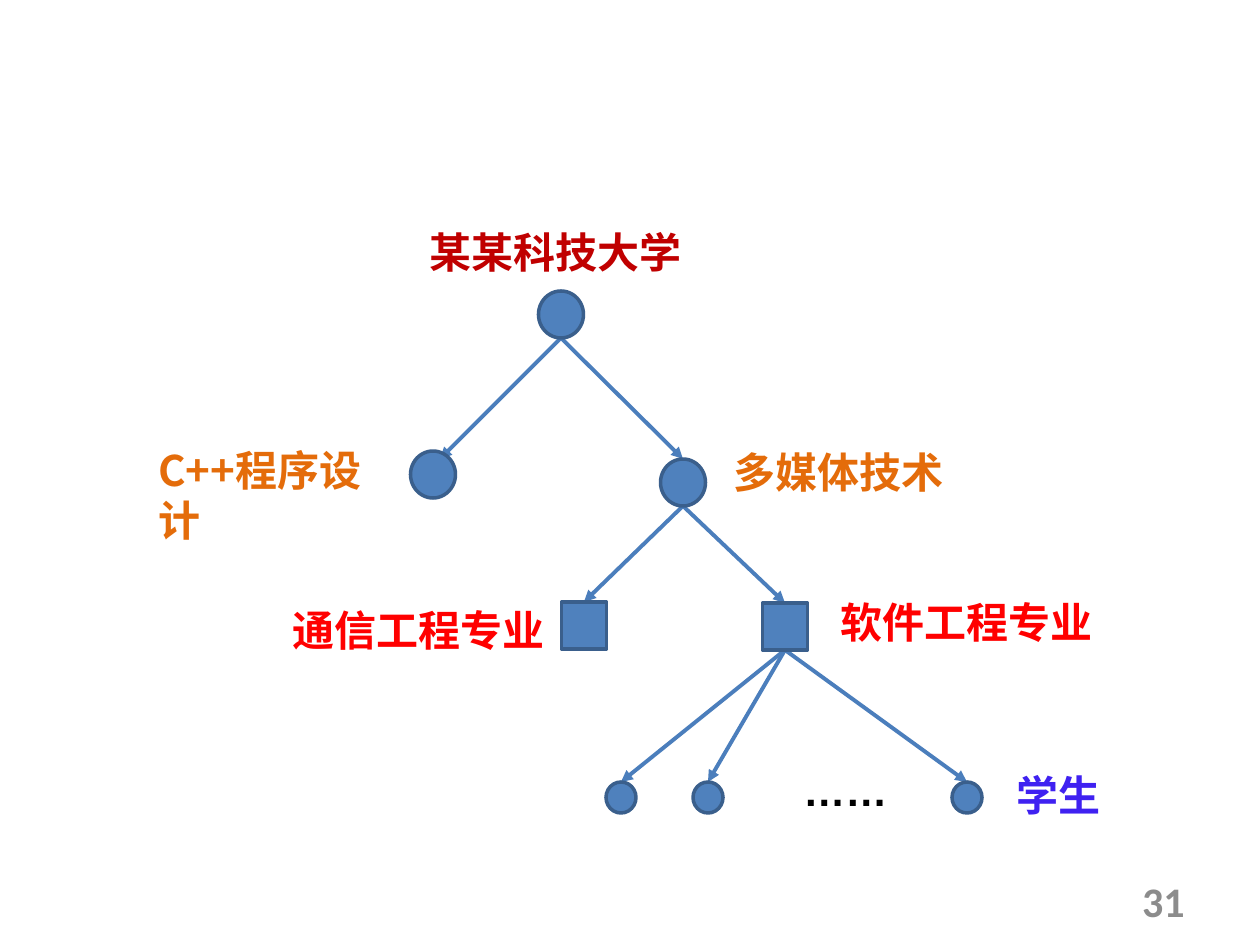
import pptx
import pptx.util
import pptx.dml.color
import pptx.enum.shapes
import pptx.enum.text
import pptx.oxml.ns
import lxml.etree

PX = 914400 / 126
CJK = "Noto Sans CJK SC"
OVAL = pptx.enum.shapes.MSO_SHAPE.OVAL
RECT = pptx.enum.shapes.MSO_SHAPE.RECTANGLE

NODES = {
    "school": (OVAL, 421, 71, 45, 47),
    "cpp": (OVAL, 293, 231, 45, 47),
    "media": (OVAL, 543, 239, 45, 47),
    "telecom": (RECT, 444, 382, 45, 47),
    "software": (RECT, 645, 383, 45, 47),
    "student1": (OVAL, 481, 562, 30, 31),
    "student2": (OVAL, 568, 562, 30, 31),
    "student3": (OVAL, 827, 562, 30, 31),
}
EDGES = [
    ("school", "cpp", 7, 8),
    ("school", "media", 0, 0),
    ("media", "telecom", 0, 0),
    ("media", "software", 0, 0),
    ("software", "student1", 0, 0),
    ("software", "student2", 0, 0),
    ("software", "student3", 0, 0),
]
LABELS = [
    ("某某科技大学", 277, 0, 280, "C00000", CJK, False),
    ("C++程序设计", 6, 218, 258, "E46C0A", CJK, True),
    ("多媒体技术", 581, 220, 237, "E46C0A", CJK, False),
    ("通信工程专业", 140, 378, 280, "FF0000", CJK, False),
    ("软件工程专业", 688, 370, 280, "FF0000", CJK, False),
    ("……", 651, 538, 111, "000000", "Arial", False),
    ("学生", 864, 543, 111, "3F21F1", CJK, False),
]


def emu(px):
    return pptx.util.Emu(round(px * PX))


def color(value):
    return pptx.dml.color.RGBColor.from_string(value)


def add_label(s, text, x, y, w, h, fill, font, wrap):
    sp = s.shapes.add_textbox(emu(x), emu(y), emu(w), emu(h))
    tf = sp.text_frame
    tf.word_wrap = wrap
    p = tf.paragraphs[0]
    r = p.add_run()
    r.text = text
    r.font.size = pptx.util.Pt(24)
    r.font.bold = True
    r.font.name = font
    r.font.color.rgb = color(fill)
    ea = lxml.etree.SubElement(r.font._element, pptx.oxml.ns.qn("a:ea"))
    ea.set("typeface", font)
    return tf


def add_node(s, kind, x, y, w, h):
    sp = s.shapes.add_shape(kind, emu(x), emu(y), emu(w), emu(h))
    sp.shadow.inherit = False
    sp.fill.solid()
    sp.fill.fore_color.rgb = color("4F81BD")
    sp.line.color.rgb = color("3A5F8C")
    sp.line.width = pptx.util.Pt(2)


def add_arrow(s, x1, y1, x2, y2):
    straight = pptx.enum.shapes.MSO_CONNECTOR.STRAIGHT
    sp = s.shapes.add_connector(straight, emu(x1), emu(y1), emu(x2), emu(y2))
    sp.line.color.rgb = color("4B7EBC")
    sp.line.width = pptx.util.Pt(2.25)
    qn = pptx.oxml.ns.qn
    tail = lxml.etree.SubElement(sp.line._get_or_add_ln(), qn("a:tailEnd"))
    tail.set("type", "triangle")
    lxml.etree.SubElement(sp._element.spPr, qn("a:effectLst"))


def add_tree(s, left, top):
    for parent, child, dx, dy in EDGES:
        _, x1, y1, _, h = NODES[parent]
        _, x2, y2, _, _ = NODES[child]
        add_arrow(s, left + x1, top + y1 + h, left + x2 + dx, top + y2 + dy)
    for kind, center, y, w, h in NODES.values():
        add_node(s, kind, left + center - w / 2, top + y, w, h)
    for text, x, y, w, fill, font, wrap in LABELS:
        add_label(s, text, left + x, top + y, w, 63, fill, font, wrap)


def add_page_number(s, left, top, width, height):
    tf = add_label(s, "31", left, top, width, height, "8C8C8C", "Calibri", True)
    tf.vertical_anchor = pptx.enum.text.MSO_ANCHOR.MIDDLE
    tf.paragraphs[0].alignment = pptx.enum.text.PP_ALIGN.RIGHT


def main():
    prs = pptx.Presentation()
    prs.slide_width, prs.slide_height = emu(1260), emu(945)
    s = prs.slides.add_slide(prs.slide_layouts[6])
    add_tree(s, 140, 220)
    add_page_number(s, 903, 876, 294, 50)
    prs.save("out.pptx")


if __name__ == "__main__":
    main()
